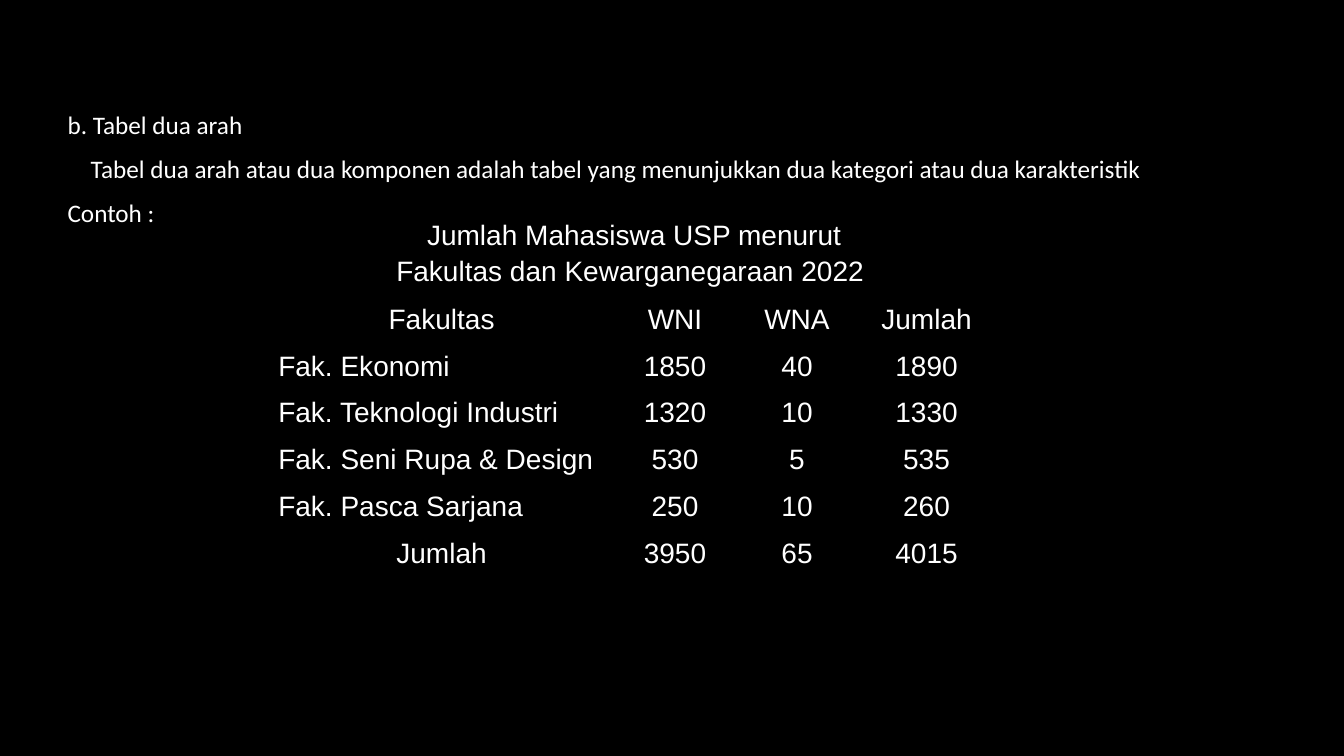
from lxml import etree
from pptx import Presentation, util as u
from pptx.dml.color import RGBColor
from pptx.enum import text as t
from pptx.oxml.ns import qn

WHITE, BLACK = "FFFFFF", "000000"


def color(code):
    return RGBColor.from_string(code)


def style(par, font, size):
    for run in par.runs:
        run.font.name = font
        run.font.size = u.Pt(size)
        run.font.color.rgb = color(WHITE)


deck = Presentation()
deck.slide_width, deck.slide_height = u.Inches(13.33), u.Inches(7.5)
slide = deck.slides.add_slide(deck.slide_layouts[1])
slide.background.fill.solid()
slide.background.fill.fore_color.rgb = color(BLACK)

# The slide has no title
head = slide.shapes.title.element
head.getparent().remove(head)

# Introduction
body = slide.placeholders[1]
body.left, body.top = u.Inches(0.57), u.Inches(0.67)
body.width, body.height = u.Inches(12.4), u.Inches(6.38)
frame = body.text_frame
frame.auto_size = t.MSO_AUTO_SIZE.NONE
frame.vertical_anchor = t.MSO_ANCHOR.TOP
frame.margin_top = u.Inches(0.41)
intro = [
    ("b. Tabel dua arah", 0),
    ("Tabel dua arah atau dua komponen adalah tabel yang menunjukkan "
     "dua kategori atau dua karakteristik", 0.23),
    ("Contoh :", 0),
]
frame.text = "\n".join(line for line, _ in intro)
for par, (_, left) in zip(frame.paragraphs, intro):
    par.space_before, par.space_after = u.Pt(0), u.Pt(10)
    style(par, "Calibri", 18)
    props = par._p.get_or_add_pPr()
    props.set("marL", str(u.Inches(left)))
    props.set("indent", "0")
    etree.SubElement(props, qn("a:buNone"))

# Table of students by faculty and citizenship
rows = [
    ("Jumlah Mahasiswa USP menurut\nFakultas dan Kewarganegaraan 2022 ", "", "", ""),
    ("Fakultas", "WNI", "WNA", "Jumlah"),
    ("Fak. Ekonomi", "1850", "40", "1890"),
    ("Fak. Teknologi Industri", "1320", "10", "1330"),
    ("Fak. Seni Rupa & Design", "530", "5", "535"),
    ("Fak. Pasca Sarjana", "250", "10", "260"),
    ("Jumlah", "3950", "65", "4015"),
]
table = slide.shapes.add_table(
    len(rows), 4, u.Inches(2.69), u.Inches(2.14), u.Inches(7.2), u.Inches(3.48)).table
table.first_row = table.horz_banding = False
for col, width in zip(table.columns, (3.38, 1.25, 1.17, 1.4)):
    col.width = u.Inches(width)
table.cell(0, 0).merge(table.cell(0, 3))

for r, row in enumerate(rows):
    table.rows[r].height = u.Inches(0.46 if r else 0.72)
    for c, value in enumerate(row):
        cell = table.cell(r, c)
        cell.margin_left = cell.margin_right = u.Inches(0.07)
        cell.margin_top = cell.margin_bottom = 0
        cell.text_frame.text = value
        name = c == 0 and row[0].startswith("Fak.")
        for par in cell.text_frame.paragraphs:
            par.alignment = t.PP_ALIGN.JUSTIFY if name else t.PP_ALIGN.CENTER
            par.line_spacing = 1.5 if r else 1.15
            par.font.size = u.Pt(20)
            style(par, "Arial", 20)
        # Borders come before the fill
        props = cell._tc.get_or_add_tcPr()
        for side in ("a:lnL", "a:lnR", "a:lnT", "a:lnB"):
            line = etree.SubElement(props, qn(side), w=str(u.Pt(1)))
            fill = etree.SubElement(line, qn("a:solidFill"))
            etree.SubElement(fill, qn("a:srgbClr"), val=BLACK)
        cell.fill.background()

deck.save("out.pptx")
